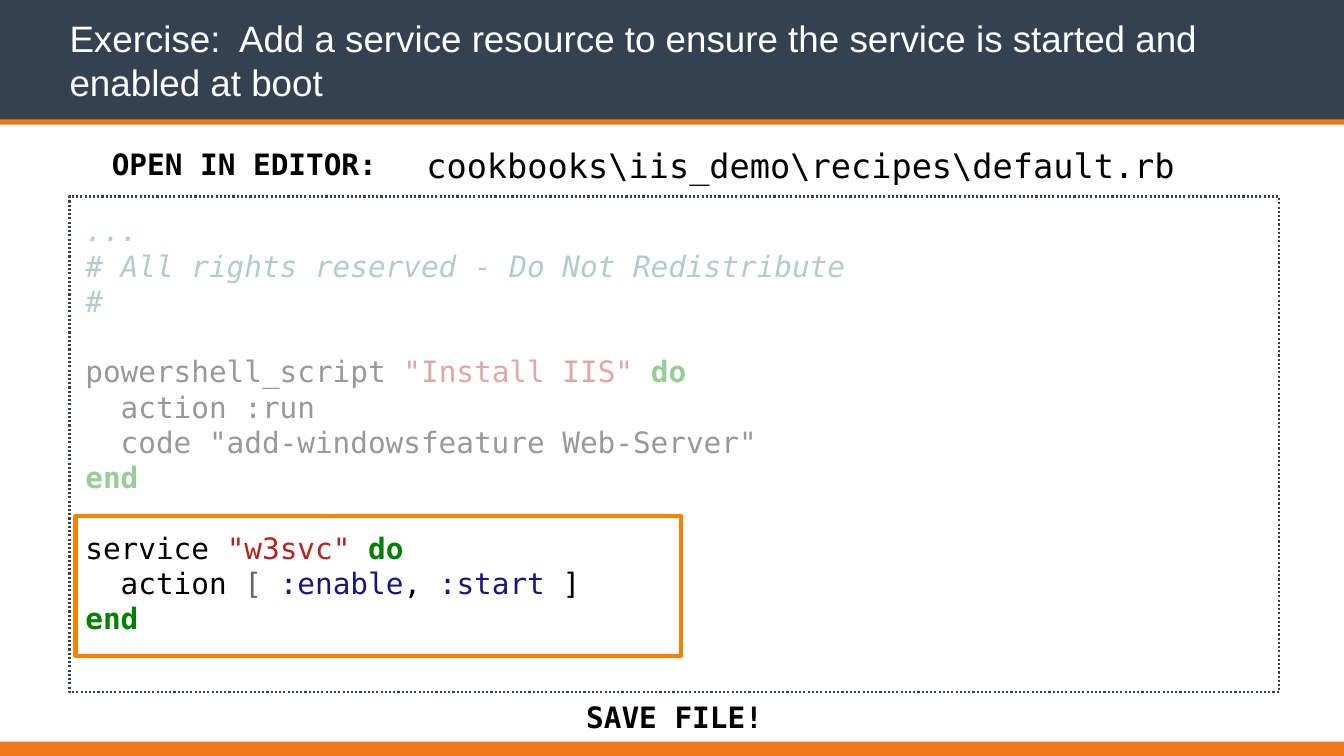
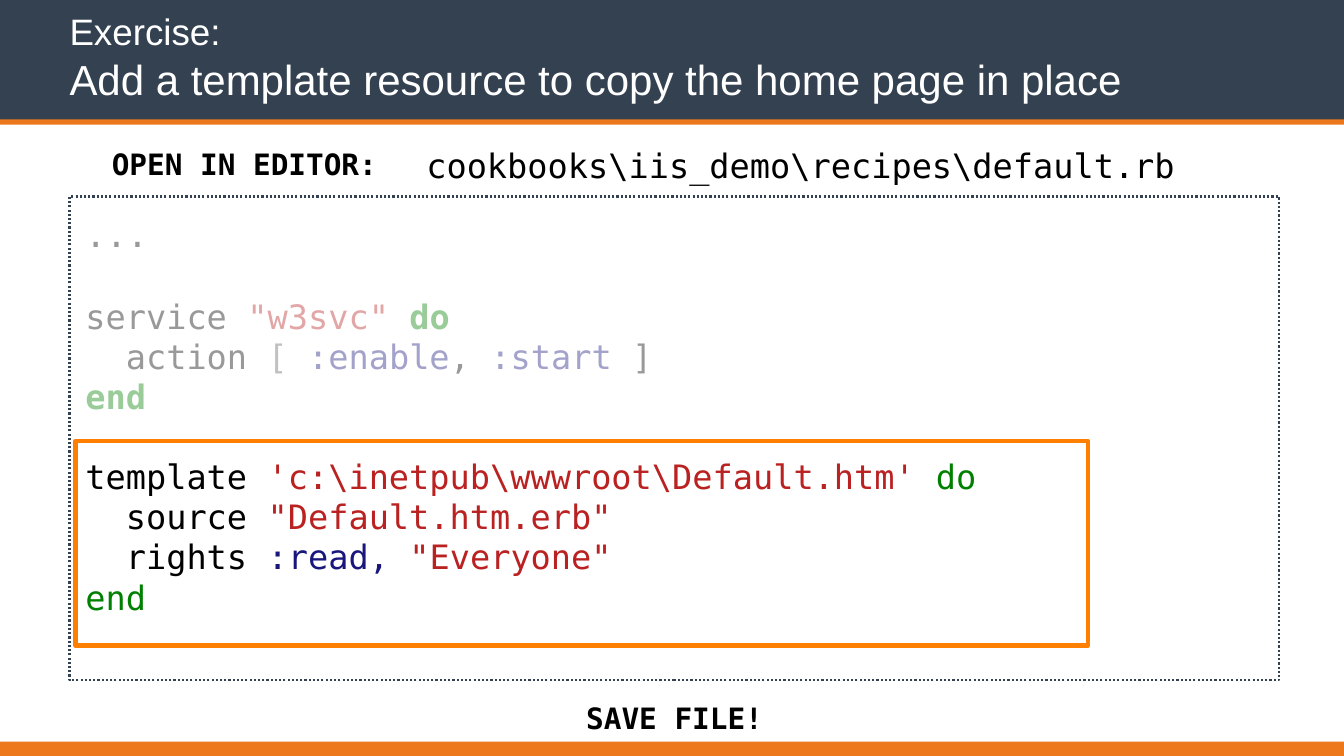
from pptx import Presentation
from pptx.dml.color import RGBColor
from pptx.enum.dml import MSO_LINE
from pptx.enum.shapes import MSO_SHAPE
from pptx.enum.text import MSO_ANCHOR, PP_ALIGN
from pptx.oxml import parse_xml
from pptx.oxml.ns import nsdecls, qn
from pptx.util import Inches, Pt
from lxml.etree import SubElement


class Theme:
    slate, orange, frame, white = "334150", "ED781C", "FF7F00", "FFFFFF"
    sans, mono = "Arial", "DejaVu Sans Mono"
    small, label, file, big = 35, 28, 32, 40
    leading = 1.2
    # Code token: colour, bold, italic
    token = {
        "plain": ("000000", False, False),
        "note": ("408080", False, True),
        "text": ("BA2121", False, False),
        "word": ("008000", True, False),
        "soft": ("008000", False, False),
        "mark": ("666666", False, False),
        "sym": ("19177C", False, False),
    }


def add_box(slide, at, fill=None, line=None, weight=0):
    box = slide.shapes.add_shape(MSO_SHAPE.RECTANGLE, *map(Inches, at))
    box.shadow.inherit = False
    if fill:
        box.fill.solid()
        box.fill.fore_color.rgb = RGBColor.from_string(fill)
    else:
        box.fill.background()
    if line:
        box.line.color.rgb = RGBColor.from_string(line)
        box.line.width = Pt(weight)
    else:
        box.line.fill.background()
    return box


def add_run(para, text, size, color="000000", bold=False, italic=False, face=Theme.mono):
    run = para.add_run()
    run.text = text
    font = run.font
    font.size, font.name, font.bold, font.italic = Pt(size), face, bold, italic
    font.color.rgb = RGBColor.from_string(color)
    return run


# Code lines: size, height of the gap above in points of type, runs
service = [
    [("service ", "plain"), ('"w3svc" ', "text"), ("do", "word")],
    [("  action ", "plain"), ("[ ", "mark"), (":enable", "sym"), (", ", "plain"),
     (":start", "sym"), (" ]", "plain")],
    [("end", "word")],
]
install = [
    (28, 0, [("...", "note")]),
    (28, 0, [("# All rights reserved - Do Not Redistribute", "note")]),
    (28, 0, [("#", "note")]),
    (28, 28, [("powershell_script ", "plain"), ('"Install IIS" ', "text"), ("do", "word")]),
    (28, 0, [("  action :run", "plain")]),
    (28, 0, [('  code "add-windowsfeature Web-Server"', "plain")]),
    (28, 0, [("end", "word")]),
] + [(28, gap, runs) for gap, runs in zip((28, 0, 0), service)]
page = [(33, 0, [("...", "plain")])]
page += [(32, gap, runs) for gap, runs in zip((33, 0, 0), service)]
page += [
    (32, 31, [("template ", "plain"), (r"'c:\inetpub\wwwroot\Default.htm' ", "text"),
              ("do", "soft")]),
    (32, 0, [("  source ", "plain"), ('"Default.htm.erb"', "text")]),
    (32, 0, [("  rights ", "plain"), (":read, ", "sym"), ('"Everyone"', "text")]),
    (32, 0, [("end", "soft")]),
]

# Per slide: title lines, code, code height, new-code frame, veil over old code, save top
decks = [
    ([("Exercise:  Add a service resource to ensure the service is started and "
       "enabled at boot", Theme.small)],
     install, 6.56, (1, 6.83, 8.01, 1.85), (1.08, 2.8, 12.13, 3.99), 9.18),
    ([("Exercise:", Theme.small),
      ("Add a template resource to copy the home page in place", Theme.big)],
     page, 6.4, (1, 5.83, 13.39, 2.71), (1.08, 2.85, 12.13, 2.79), 9.19),
]
bands = [
    ((0, -0.14, 17.78, 1.78), Theme.slate),
    ((0, 1.58, 17.78, 0.07), Theme.orange),
    ((0, 9.81, 17.78, 0.25), Theme.orange),
]

prs = Presentation()
prs.slide_width, prs.slide_height = Inches(17.78), Inches(10)

for title, code, tall, frame, veil, save in decks:
    slide = prs.slides.add_slide(prs.slide_layouts[6])

    # Header and footer bands
    for at, fill in bands:
        add_box(slide, at, fill)

    # Code panel
    panel = add_box(slide, (0.92, 2.6, 16, tall), Theme.white, Theme.slate, 2)
    panel.line.dash_style = MSO_LINE.ROUND_DOT
    body = panel.text_frame
    body.word_wrap = True
    body.vertical_anchor = MSO_ANCHOR.TOP
    body.margin_left = body.margin_right = Inches(0.21)
    body.margin_top = body.margin_bottom = Inches(0.21)
    for num, (size, gap, runs) in enumerate(code):
        para = body.add_paragraph() if num else body.paragraphs[0]
        para.alignment = PP_ALIGN.LEFT
        para.line_spacing = Pt(size * Theme.leading)
        if gap:
            para.space_before = Pt(gap * Theme.leading)
        for text, kind in runs:
            add_run(para, text, size, *Theme.token[kind])

    # Frame round the new code, veil over the old
    add_box(slide, frame, None, Theme.frame, 4)
    cover = add_box(slide, veil, Theme.white)
    tint = next(cover.element.iter(qn("a:srgbClr")))
    SubElement(tint, qn("a:alpha")).set("val", "60000")

    # Title and labels: place, inset, anchor, alignment, lines, style
    mid, left = MSO_ANCHOR.MIDDLE, PP_ALIGN.LEFT
    bold, white = {"bold": True}, {"color": Theme.white, "face": Theme.sans}
    labels = [
        ((0.88, 0.19, 16.03, 1.22), 0.04, MSO_ANCHOR.BOTTOM, left, title, white),
        ((1.48, 1.86, 6.7, 0.61), 0, mid, left, [("OPEN IN EDITOR:", Theme.label)], bold),
        ((5.52, 1.8, 11.37, 0.76), 0.12, mid, left,
         [(r"cookbooks\iis_demo\recipes\default.rb", Theme.file)], {}),
        ((7.26, save, 3.33, 0.61), 0, mid, PP_ALIGN.CENTER,
         [("SAVE FILE!", Theme.label)], bold),
    ]
    for at, inset, anchor, align, lines, style in labels:
        frame = slide.shapes.add_textbox(*map(Inches, at)).text_frame
        frame.word_wrap = True
        frame.vertical_anchor = anchor
        frame.margin_left = frame.margin_right = Inches(inset)
        frame.margin_top = frame.margin_bottom = Inches(inset)
        para = frame.paragraphs[0]
        para.alignment = align
        for num, (text, size) in enumerate(lines):
            if num:
                para.add_line_break()
            run = add_run(para, text, size, **style)
            if style is white:
                # Soft shadow behind title letters
                run.font.fill.fore_color.rgb = RGBColor.from_string(Theme.white)
                glow = parse_xml(
                    f'<a:effectLst {nsdecls("a")}><a:outerShdw blurRad="38100" '
                    'dist="38100" dir="2700000"><a:srgbClr val="000000"/>'
                    '</a:outerShdw></a:effectLst>')
                next(para.runs[-1].font.fill._xPr.iter(qn("a:solidFill"))).addnext(glow)

prs.save("out.pptx")
